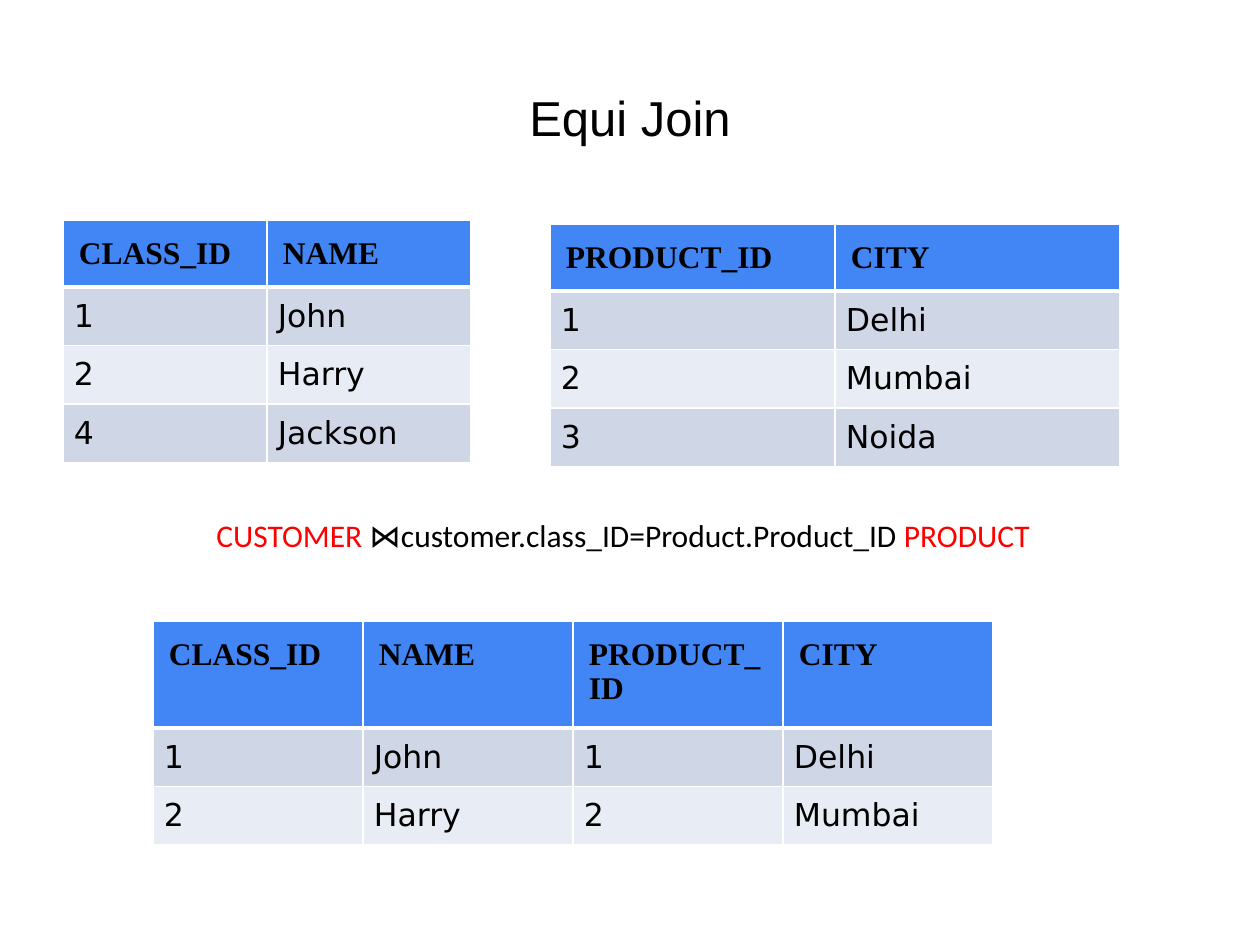
from lxml import etree
from pptx import Presentation, util as u
from pptx.dml.color import RGBColor
from pptx.enum import text
from pptx.oxml.ns import qn

THEME = {
    "black": "000000", "red": "FF0000", "white": "FFFFFF",
    "head": "4285F4", "bands": ("CFD7E7", "E8ECF4"),
    "title": {"name": "Arial", "size": u.Pt(28), "bold": False},
    "label": {"name": "Times New Roman", "size": u.Pt(18), "bold": True},
    "body": {"name": "DejaVu Sans", "size": u.Pt(18), "bold": False},
    "query": {"name": "Calibri", "size": u.Pt(18), "bold": False},
}
SCALE = 914400 / 126
ROW = 58


def px(*vals):
    return [u.Emu(round(v * SCALE)) for v in vals]


def style(font, kind, color="black"):
    for key, val in THEME[kind].items():
        setattr(font, key, val)
    font.color.rgb = RGBColor.from_string(THEME[color])


deck = Presentation()
deck.slide_width, deck.slide_height = px(1260, 945)
slide = deck.slides.add_slide(deck.slide_layouts[5])

title = slide.shapes.title
title.left, title.top, title.width, title.height = px(63, 38, 1134, 158)
title.text_frame.vertical_anchor = text.MSO_ANCHOR.MIDDLE
para = title.text_frame.paragraphs[0]
para.alignment = text.PP_ALIGN.CENTER
run = para.add_run()
run.text = "Equi Join"
style(run.font, "title")

tables = [
    (63, 220, 204, 66, [
        ("CLASS_ID", "NAME"), ("1", "John"), ("2", "Harry"), ("4", "Jackson")]),
    (550, 224, 285, 66, [
        ("PRODUCT_ID", "CITY"), ("1", "Delhi"), ("2", "Mumbai"), ("3", "Noida")]),
    (153, 621, 210, 107, [
        ("CLASS_ID", "NAME", "PRODUCT_ID", "CITY"),
        ("1", "John", "1", "Delhi"), ("2", "Harry", "2", "Mumbai")]),
]
for left, top, wide, head, rows in tables:
    count = len(rows[0])
    high = head + ROW * (len(rows) - 1)
    grid = slide.shapes.add_table(
        len(rows), count, *px(left, top, wide * count, high)).table
    for col in grid.columns:
        col.width = px(wide)[0]
    for i, row in enumerate(rows):
        grid.rows[i].height = px(ROW if i else head)[0]
        pad = px(11 if i else 16)[0]
        fill = THEME["bands"][(i - 1) % 2] if i else THEME["head"]
        for j, word in enumerate(row):
            cell = grid.cell(i, j)
            for side in ("left", "right", "top", "bottom"):
                setattr(cell, "margin_" + side, pad)
            props = cell._tc.get_or_add_tcPr()
            for edge in "LRTB":
                thick = (i, edge) in ((0, "B"), (1, "T"))
                line = etree.SubElement(
                    props, qn("a:ln" + edge), w=str(u.Pt(3 if thick else 1)))
                solid = etree.SubElement(line, qn("a:solidFill"))
                etree.SubElement(solid, qn("a:srgbClr"), val=THEME["white"])
            cell.fill.solid()
            cell.fill.fore_color.rgb = RGBColor.from_string(fill)
            run = cell.text_frame.paragraphs[0].add_run()
            run.text = word
            style(run.font, "body" if i else "label")

query = slide.shapes.add_textbox(*px(204, 510, 840, 50))
query.text_frame.word_wrap = True
query.text_frame.auto_size = text.MSO_AUTO_SIZE.SHAPE_TO_FIT_TEXT
para = query.text_frame.paragraphs[0]
for word, color in (
    ("CUSTOMER", "red"),
    (" ⋈customer.class_ID=Product.Product_ID ", "black"),
    ("PRODUCT", "red"),
):
    run = para.add_run()
    run.text = word
    style(run.font, "query", color)

deck.save("out.pptx")
